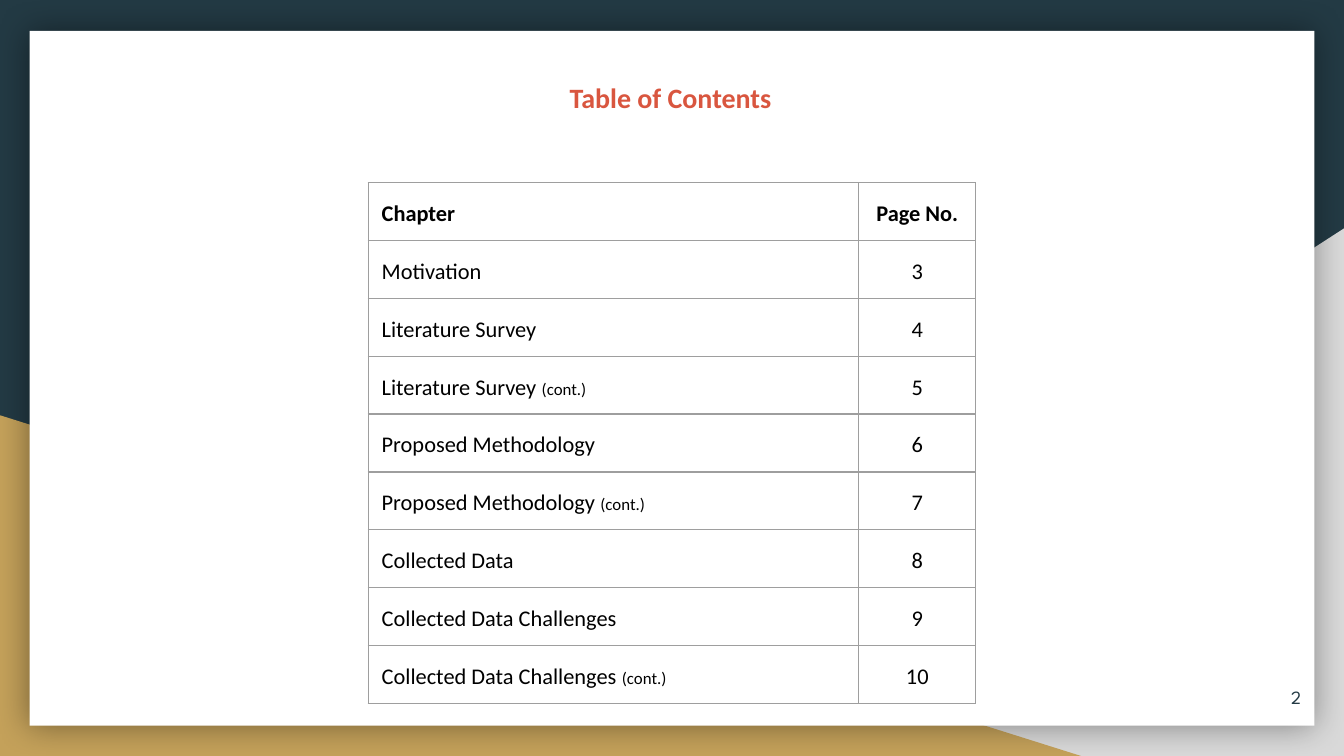
from dataclasses import dataclass

from lxml import etree
from pptx import Presentation
from pptx.dml.color import RGBColor
from pptx.enum.shapes import MSO_SHAPE
from pptx.enum.text import MSO_ANCHOR, MSO_AUTO_SIZE, PP_ALIGN
from pptx.oxml.ns import qn
from pptx.util import Inches, Pt

LEFT, CENTER, RIGHT = PP_ALIGN.LEFT, PP_ALIGN.CENTER, PP_ALIGN.RIGHT
MIDDLE, TOP = MSO_ANCHOR.MIDDLE, MSO_ANCHOR.TOP
GROW = MSO_AUTO_SIZE.SHAPE_TO_FIT_TEXT
TRIANGLE, RECT = MSO_SHAPE.RIGHT_TRIANGLE, MSO_SHAPE.RECTANGLE

TITLE = "Table of Contents"
NUMBER = "2"
HEADS = ("Chapter", "Page No.")
CONT = "(cont.)"
FIRST = 3
CHAPTERS = [
    ("Motivation", False),
    ("Literature Survey", False),
    ("Literature Survey", True),
    ("Proposed Methodology", False),
    ("Proposed Methodology", True),
    ("Collected Data", False),
    ("Collected Data Challenges", False),
    ("Collected Data Challenges", True),
]
COLS = (3.65, 0.87)
ROW = 0.42


@dataclass(frozen=True)
class Theme:
    navy: str = "233A44"
    gray: str = "D9D9D9"
    gold: str = "C4A15A"
    white: str = "FFFFFF"
    black: str = "000000"
    coral: str = "D9563F"
    rule: str = "9E9E9E"
    body: str = "Calibri"
    digit: str = "League Spartan"
    title: int = 15
    text: int = 12
    page: int = 10
    small: int = 9


T = Theme()


def add_panel(slide, kind, box, color):
    shape = slide.shapes.add_shape(kind, *map(Inches, box))
    shape.shadow.inherit = False
    shape.fill.solid()
    shape.fill.fore_color.rgb = RGBColor.from_string(color)
    shape.line.fill.background()
    return shape


def add_glow(shape):
    effects = shape._element.spPr.find(qn("a:effectLst"))
    outer = etree.SubElement(effects, qn("a:outerShdw"), blurRad=str(Pt(18)),
                             dist="0", algn="ctr", rotWithShape="0")
    color = etree.SubElement(outer, qn("a:srgbClr"), val=T.black)
    etree.SubElement(color, qn("a:alpha"), val="40000")


def style(para, size, color=T.black, bold=False, align=LEFT, face=T.body):
    para.alignment = align
    font = para.font
    font.name, font.size, font.bold = face, Pt(size), bold
    font.color.rgb = RGBColor.from_string(color)


def pad(item):
    item.margin_left = item.margin_right = Inches(0.1)
    item.margin_top = item.margin_bottom = Inches(0.1)


def add_label(slide, box, text, anchor, **look):
    frame = slide.shapes.add_textbox(*map(Inches, box)).text_frame
    frame.word_wrap = True
    frame.vertical_anchor = anchor
    pad(frame)
    para = frame.paragraphs[0]
    para.text = text
    style(para, **look)
    return frame


def add_border(cell):
    props = cell._tc.get_or_add_tcPr()
    for place, side in enumerate(("lnL", "lnR", "lnT", "lnB")):
        line = etree.Element(qn(f"a:{side}"), w=str(Pt(0.75)))
        fill = etree.SubElement(line, qn("a:solidFill"))
        etree.SubElement(fill, qn("a:srgbClr"), val=T.rule)
        props.insert(place, line)


def fill_cell(cell, text, cont, bold, align):
    cell.fill.background()
    add_border(cell)
    cell.vertical_anchor = MIDDLE
    pad(cell)
    para = cell.text_frame.paragraphs[0]
    para.line_spacing = 1.15
    style(para, T.text, bold=bold, align=align)
    para.add_run().text = f"{text} " if cont else text
    if cont:
        run = para.add_run()
        run.text = CONT
        run.font.size = Pt(T.small)


def add_contents(slide):
    rows = [(*HEADS, False)]
    rows += [(name, str(page), cont)
             for page, (name, cont) in enumerate(CHAPTERS, FIRST)]
    box = (2.74, 1.36, sum(COLS), ROW * len(rows))
    table = slide.shapes.add_table(len(rows), len(COLS), *map(Inches, box)).table
    table.first_row = table.horz_banding = False
    for col, width in zip(table.columns, COLS):
        col.width = Inches(width)
    for index, (name, page, cont) in enumerate(rows):
        table.rows[index].height = Inches(ROW)
        head = index == 0
        fill_cell(table.cell(index, 0), name, cont, head, LEFT)
        fill_cell(table.cell(index, 1), page, False, head, CENTER)


def main():
    """Build the table of contents slide."""
    deck = Presentation()
    deck.slide_width = Inches(10)
    deck.slide_height = deck.slide_width * 9 // 16
    slide = deck.slides.add_slide(deck.slide_layouts[6])
    back = slide.background.fill
    back.solid()
    back.fore_color.rgb = RGBColor.from_string(T.navy)

    wedge = add_panel(slide, TRIANGLE, (3.92, 1.7, 6.08, 3.93), T.gray)
    wedge._element.spPr.find(qn("a:xfrm")).set("flipH", "1")
    add_panel(slide, TRIANGLE, (0, 3.09, 8.06, 2.54), T.gold)
    add_glow(add_panel(slide, RECT, (0.22, 0.23, 9.56, 5.17), T.white))

    title = add_label(slide, (4.14, 0.5, 1.72, 0.45), TITLE, TOP,
                      size=T.title, color=T.coral, bold=True)
    title.auto_size = GROW
    add_label(slide, (9.18, 4.97, 0.6, 0.43), NUMBER, MIDDLE,
              size=T.page, color=T.navy, align=RIGHT, face=T.digit)
    add_contents(slide)
    deck.save("out.pptx")


if __name__ == "__main__":
    main()
